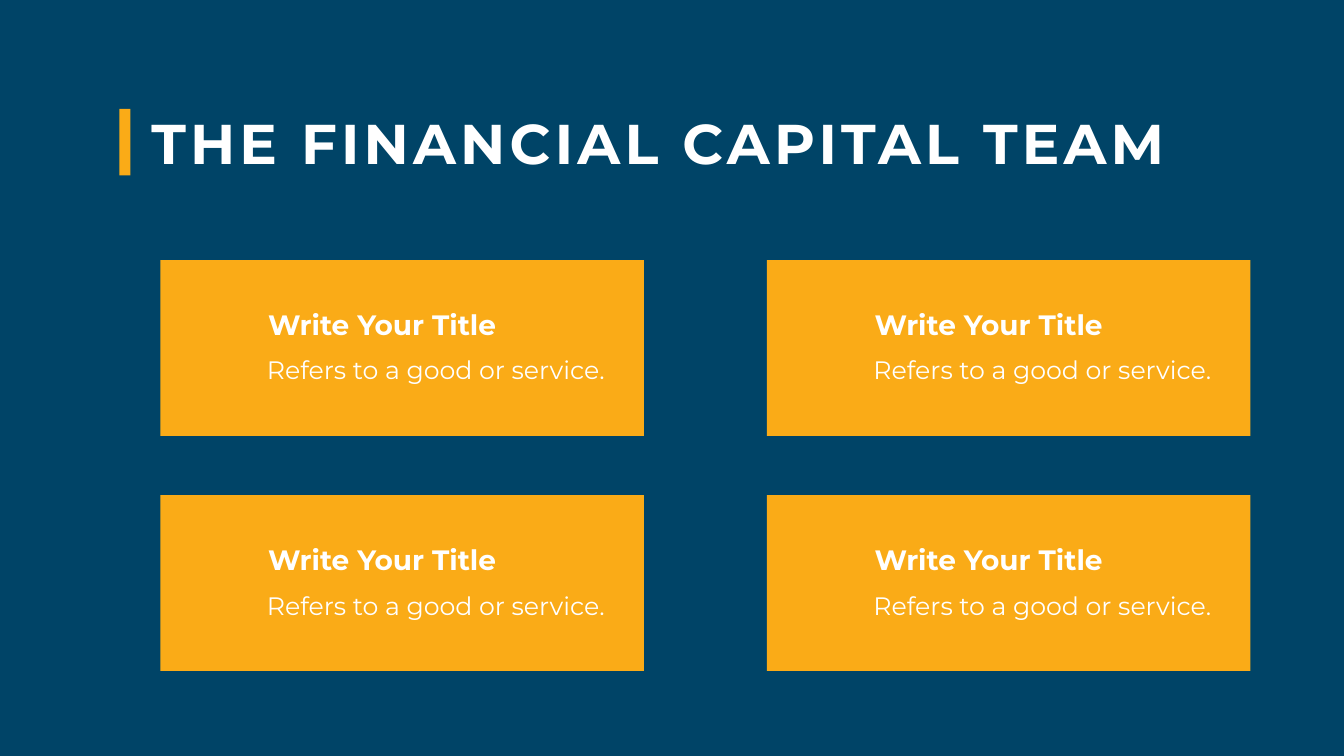
import pptx
import pptx.util
import pptx.dml.color
import pptx.enum.shapes
import pptx.enum.text

Pt = pptx.util.Pt
RGB = pptx.dml.color.RGBColor.from_string
COLORS = {"navy": "004467", "amber": "FAAB17", "white": "FFFFFF"}


def add_block(slide, left, top, width, height):
    block = slide.shapes.add_shape(
        pptx.enum.shapes.MSO_SHAPE.RECTANGLE, Pt(left), Pt(top), Pt(width), Pt(height))
    block.shadow.inherit = False
    block.fill.solid()
    block.fill.fore_color.rgb = RGB(COLORS["amber"])
    block.line.fill.background()


def add_label(slide, text, left, top, width, height, size, bold, inset_x=7.2, inset_y=3.6):
    label = slide.shapes.add_textbox(Pt(left), Pt(top), Pt(width), Pt(height))
    frame = label.text_frame
    frame.word_wrap = True
    frame.auto_size = pptx.enum.text.MSO_AUTO_SIZE.SHAPE_TO_FIT_TEXT
    frame.margin_left = frame.margin_right = Pt(inset_x)
    frame.margin_top = frame.margin_bottom = Pt(inset_y)
    frame.text = text
    run = frame.paragraphs[0].runs[0]
    run.font.name = "Montserrat"
    run.font.size = Pt(size)
    run.font.bold = bold
    run.font.color.rgb = RGB(COLORS["white"])
    return run


deck = pptx.Presentation()
deck.slide_width = Pt(1919.5)
deck.slide_height = Pt(1080)
slide = deck.slides.add_slide(deck.slide_layouts[6])
slide.background.fill.solid()
slide.background.fill.fore_color.rgb = RGB(COLORS["navy"])

heading = add_label(slide, "THE FINANCIAL CAPITAL TEAM", 209, 151, 1540, 104.4, 80, True)
heading.font._element.set("spc", "600")
add_block(slide, 170.6, 155.5, 15.8, 95)

card_left, card_top = 229, 371.5
card_width, card_height = 690.5, 251.3
column_step, row_step = 866.3, 335.8

for row in range(2):
    for column in range(2):
        left = card_left + column * column_step
        top = card_top + row * row_step
        add_block(slide, left, top, card_width, card_height)
        add_label(slide, "Write Your Title", left + 146.9, top + 63.7, 379.4, 55.4, 40, True)
        add_label(slide, "Refers to a good or service.", left + 134.9, top + 126.7,
                  524.2, 61.2, 36, False, 17.3, 8.6)

deck.save("out.pptx")
